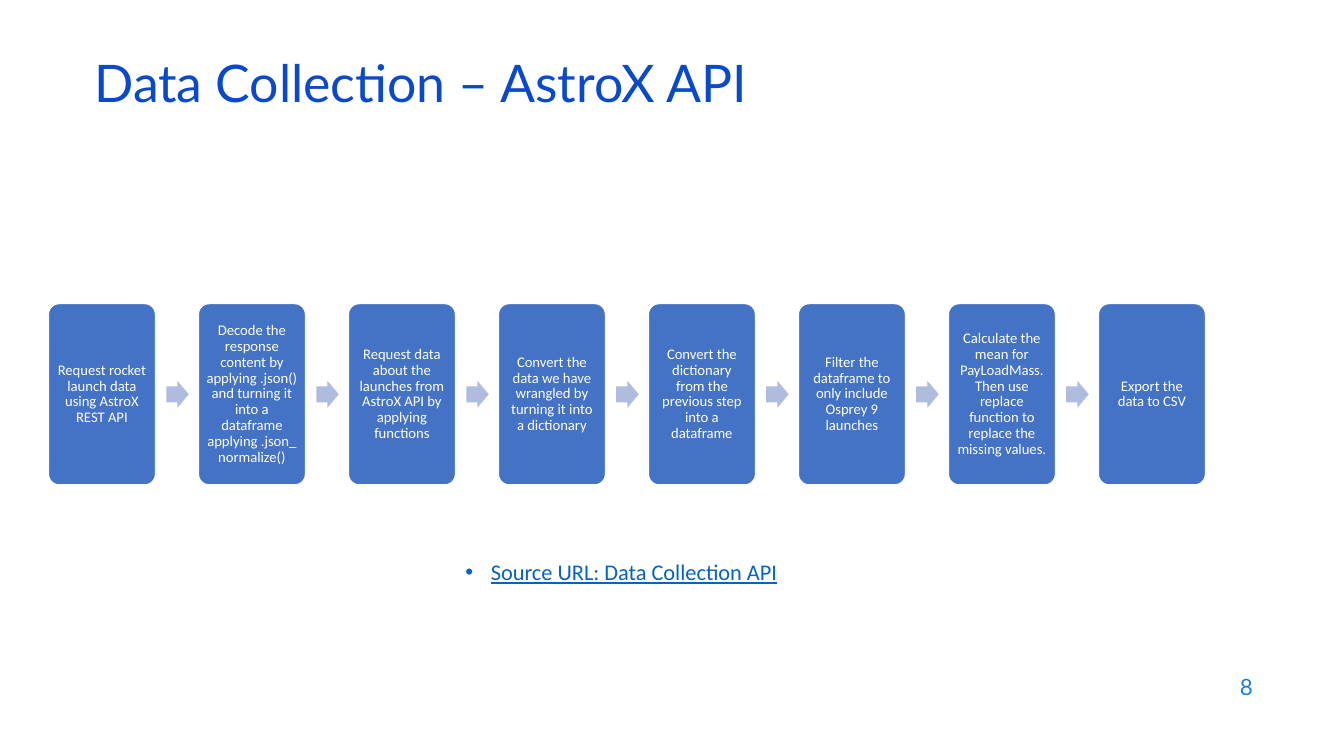
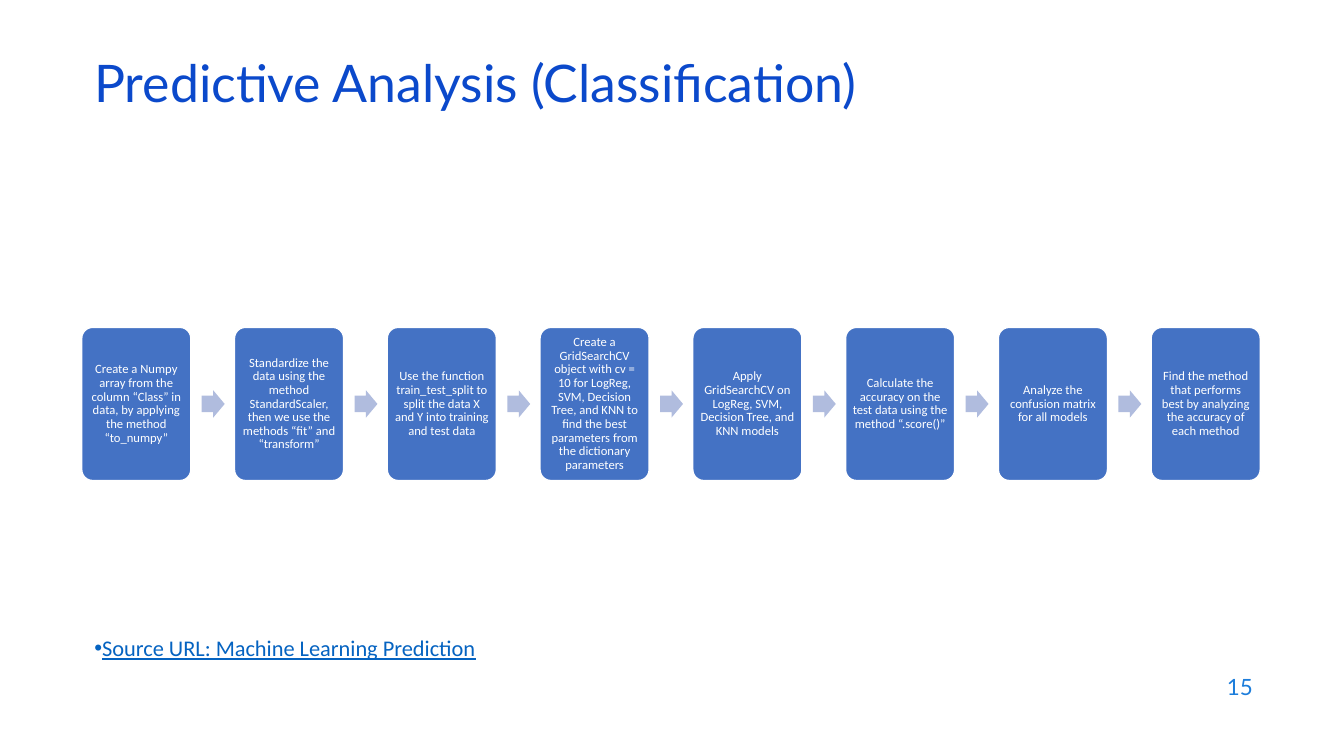
from dataclasses import dataclass

from lxml import etree
from pptx import Presentation
from pptx.dml.color import RGBColor
from pptx.enum.shapes import MSO_SHAPE
from pptx.enum.text import MSO_ANCHOR, PP_ALIGN
from pptx.oxml.ns import qn
from pptx.util import Cm, Pt

ROUNDED, ARROW = MSO_SHAPE.ROUNDED_RECTANGLE, MSO_SHAPE.RIGHT_ARROW
LEFT, CENTER, RIGHT = PP_ALIGN.LEFT, PP_ALIGN.CENTER, PP_ALIGN.RIGHT
TOP, MIDDLE = MSO_ANCHOR.TOP, MSO_ANCHOR.MIDDLE


@dataclass(frozen=True)
class Theme:
    """Colours, fonts and type sizes shared by the slides."""
    title: RGBColor = RGBColor(0x0B, 0x49, 0xCB)
    number: RGBColor = RGBColor(0x1C, 0x7D, 0xDB)
    link: RGBColor = RGBColor(0x05, 0x63, 0xC1)
    step: RGBColor = RGBColor(0x44, 0x72, 0xC4)
    arrow: RGBColor = RGBColor(0xB0, 0xBC, 0xDE)
    white: RGBColor = RGBColor(0xFF, 0xFF, 0xFF)
    heading_font: str = "Lato"
    body_font: str = "Calibri"
    title_size: float = 37
    small_size: float = 16


@dataclass(frozen=True)
class Flow:
    """Placement of a row of steps, in centimetres, and its type size."""
    left: float
    top: float
    pitch: float
    height: float
    inset: float
    size: float


THEME = Theme()

COLLECTION_STEPS = [
    "Request rocket launch data using AstroX REST API",
    "Decode the response content by applying .json() and turning it into "
    "a dataframe applying .json_normalize()",
    "Request data about the launches from AstroX API by applying functions",
    "Convert the data we have wrangled by turning it into a dictionary",
    "Convert the dictionary from the previous step into a dataframe",
    "Filter the dataframe to only include Osprey 9 launches",
    "Calculate the mean for PayLoadMass. Then use replace function to "
    "replace the missing values.",
    "Export the data to CSV",
]

PREDICTION_STEPS = [
    "Create a Numpy array from the column “Class” in data, by applying "
    "the method “to_numpy”",
    "Standardize the data using the method StandardScaler, then we use "
    "the methods “fit” and “transform”",
    "Use the function train_test_split to split the data X and Y into "
    "training and test data",
    "Create a GridSearchCV object with cv = 10 for LogReg, SVM, Decision "
    "Tree, and KNN to find the best parameters from the dictionary parameters",
    "Apply GridSearchCV on LogReg, SVM, Decision Tree, and KNN models",
    "Calculate the accuracy on the test data using the method “.score()”",
    "Analyze the confusion matrix for all models",
    "Find the method that performs best by analyzing the accuracy of "
    "each method",
]


def write(shape, text, size, font, color, align=LEFT, anchor=MIDDLE):
    """Put one styled paragraph in a shape and return the paragraph."""
    frame = shape.text_frame
    frame.word_wrap = True
    frame.vertical_anchor = anchor
    paragraph = frame.paragraphs[0]
    paragraph.text = text
    paragraph.alignment = align
    paragraph.font.size = Pt(size)
    paragraph.font.name = font
    paragraph.font.color.rgb = color
    return paragraph


def add_text_area(slide, left, top, width, height):
    """Add an empty text box placed in centimetres."""
    return slide.shapes.add_textbox(Cm(left), Cm(top), Cm(width), Cm(height))


def add_block(slide, preset, left, top, width, height, fill):
    """Add a filled preset shape without shadow or outline."""
    block = slide.shapes.add_shape(preset, Cm(left), Cm(top), Cm(width), Cm(height))
    block.shadow.inherit = False
    block.fill.solid()
    block.fill.fore_color.rgb = fill
    block.line.fill.background()
    return block


def add_frame(slide, title, number):
    """Add the title and the slide number."""
    heading = write(add_text_area(slide, 2.13, 1.5, 29.2, 1.52), title,
                    THEME.title_size, THEME.heading_font, THEME.title)
    heading.line_spacing = 0.7
    write(add_text_area(slide, 24.2, 16.74, 7.62, 1.12), str(number),
          THEME.small_size, THEME.heading_font, THEME.number, RIGHT)


def add_link_line(slide, text, left, top, width, indent):
    """Add a bulleted, underlined reference with a hanging indent."""
    area = add_text_area(slide, left, top, width, 1.2)
    properties = area.text_frame.paragraphs[0]._p.get_or_add_pPr()
    properties.set("marL", str(Cm(indent)))
    properties.set("indent", str(-Cm(indent)))
    etree.SubElement(properties, qn("a:buFont")).set("typeface", "Arial")
    etree.SubElement(properties, qn("a:buChar")).set("char", "•")
    reference = write(area, text, THEME.small_size, THEME.body_font,
                      THEME.link, anchor=TOP)
    reference.font.underline = True


def add_step(slide, text, left, width, flow):
    """Add one rounded step of a flow."""
    step = add_block(slide, ROUNDED, left, flow.top, width, flow.height, THEME.step)
    step.adjustments[0] = 0.1
    step.line.color.rgb = THEME.white
    step.line.width = Pt(1)
    frame = step.text_frame
    frame.margin_left = frame.margin_right = Cm(flow.inset)
    frame.margin_top = frame.margin_bottom = Cm(flow.inset)
    label = write(step, text, flow.size, THEME.body_font, THEME.white, CENTER)
    label.line_spacing = 0.9


def add_flow(slide, steps, flow):
    """Add a row of steps with an arrow in each gap."""
    width = flow.pitch / 1.4
    arrow_width, arrow_height = width * 0.21, width * 0.25
    arrow_top = flow.top + (flow.height - arrow_height) / 2
    for index, text in enumerate(steps):
        left = flow.left + index * flow.pitch
        if index:
            arrow = add_block(slide, ARROW, left - 0.3 * width, arrow_top,
                              arrow_width, arrow_height, THEME.arrow)
            arrow.adjustments[0] = 0.6
        add_step(slide, text, left, width, flow)


def main():
    """Build and save the presentation."""
    deck = Presentation()
    deck.slide_width, deck.slide_height = Cm(33.87), Cm(19.05)
    blank = deck.slide_layouts[6]

    collection = deck.slides.add_slide(blank)
    add_frame(collection, "Data Collection – AstroX API", 8)
    add_flow(collection, COLLECTION_STEPS, Flow(1.22, 7.65, 3.78, 4.57, 0.12, 10.5))
    add_link_line(collection, "Source URL: Data Collection API", 11.48, 13.94, 8.66, 0.64)

    prediction = deck.slides.add_slide(blank)
    add_frame(prediction, "Predictive Analysis (Classification)", 15)
    add_flow(prediction, PREDICTION_STEPS, Flow(2.06, 8.25, 3.85, 3.86, 0.1, 9))
    add_link_line(prediction, "Source URL: Machine Learning Prediction", 2.13, 15.86, 27.08, 0)

    deck.save("out.pptx")


if __name__ == "__main__":
    main()
